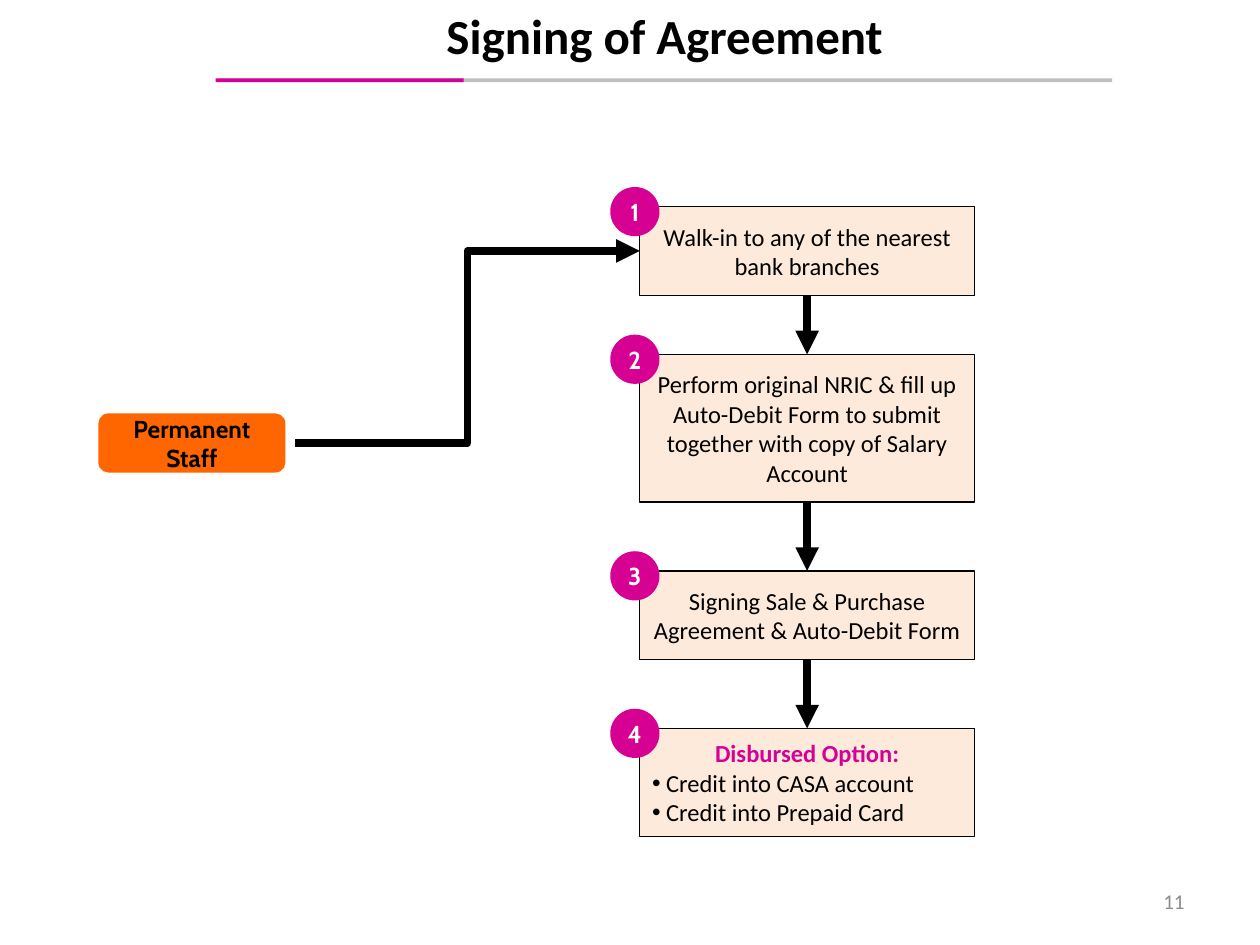
"""Build the agreement signing flow slide."""
from typing import NamedTuple

from lxml.etree import SubElement
from pptx import Presentation
from pptx.dml.color import RGBColor
from pptx.enum.shapes import MSO_CONNECTOR, MSO_SHAPE
from pptx.enum.text import MSO_ANCHOR, MSO_AUTO_SIZE, PP_ALIGN
from pptx.oxml.ns import qn
from pptx.util import Inches, Pt

UNIT = Inches(10) / 128
HUES = {"pink": "D60093", "gray": "BFBFBF", "peach": "FDEADA", "orange": "FF6600",
        "black": "000000", "white": "FFFFFF", "dim": "8C8C8C"}
BODY = {"name": "Calibri", "size": Pt(14), "bold": False}
LABEL = {"name": "Cabin", "size": Pt(14), "bold": True}
HEAD = {"name": "Calibri", "size": Pt(28), "bold": True}
FOOT = {"name": "Calibri", "size": Pt(12), "bold": False}
FRAME = {"word_wrap": True, "vertical_anchor": MSO_ANCHOR.MIDDLE}
TIGHT = {"margin_left": 0, "margin_right": 0, "margin_top": 0, "margin_bottom": 0}


class Area(NamedTuple):
    """Place in grid columns and rows."""
    col: float
    row: float
    wide: float
    high: float


class Line(NamedTuple):
    """One paragraph with its look."""
    text: str
    font: dict = BODY
    hue: str = "black"
    align: PP_ALIGN = PP_ALIGN.CENTER
    bullet: bool = False


class Step(NamedTuple):
    """One box of the flow."""
    row: int
    high: int
    lines: list


STEPS = [
    Step(21, 9, [Line("Walk-in to any of the nearest bank branches")]),
    Step(36, 15, [Line("Perform original NRIC & fill up Auto-Debit Form to submit "
                       "together with copy of Salary Account")]),
    Step(58, 9, [Line("Signing Sale & Purchase Agreement & Auto-Debit Form")]),
    Step(74, 11, [
        Line("Disbursed Option:", {**BODY, "bold": True}, "pink"),
        Line("Credit into CASA account", align=PP_ALIGN.LEFT, bullet=True),
        Line("Credit into Prepaid Card", align=PP_ALIGN.LEFT, bullet=True)]),
]
RULES = [(Area(22.3, 7.95, 90.7, 0.4), "gray"), (Area(21.9, 7.95, 25.2, 0.4), "pink")]
LEFT, WIDE = 65, 34


def grid(*spans: float) -> list:
    """Turn grid counts into lengths."""
    return [round(span * UNIT) for span in spans]


def color(hue: str) -> RGBColor:
    """Look up a colour by name."""
    return RGBColor.from_string(HUES[hue])


def apply(target, values: dict) -> None:
    """Set each format value on the target."""
    for key, value in values.items():
        setattr(target, key, value)


def write(shape, lines: list, frame: dict = FRAME) -> None:
    """Fill a shape with styled paragraphs."""
    body = shape.text_frame
    apply(body, frame)
    for index, line in enumerate(lines):
        para = body.add_paragraph() if index else body.paragraphs[0]
        para.text = line.text
        para.alignment = line.align
        if line.bullet:
            props = para._p.get_or_add_pPr()
            props.set("marL", str(Inches(0.11)))
            props.set("indent", str(-Inches(0.11)))
            SubElement(props, qn("a:buFont")).set("typeface", "Arial")
            SubElement(props, qn("a:buChar")).set("char", "•")
        apply(para.font, line.font)
        para.font.color.rgb = color(line.hue)


def block(slide, kind: MSO_SHAPE, area: Area, fill: str, edge: str = ""):
    """Draw a flat filled shape."""
    shape = slide.shapes.add_shape(kind, *grid(*area))
    shape.shadow.inherit = False
    shape.fill.solid()
    shape.fill.fore_color.rgb = color(fill)
    if edge:
        shape.line.color.rgb = color(edge)
        shape.line.width = Pt(0.75)
    else:
        shape.line.fill.background()
    return shape


def arrow(slide, kind: MSO_CONNECTOR, *ends: float):
    """Draw a thick arrow between two grid points."""
    link = slide.shapes.add_connector(kind, *grid(*ends))
    link.line.color.rgb = color("black")
    link.line.width = Pt(4.5)
    SubElement(link.line._get_or_add_ln(), qn("a:tailEnd")).set("type", "triangle")
    SubElement(link._element.spPr, qn("a:effectLst"))
    return link


def main() -> None:
    """Build and save the slide."""
    deck = Presentation()
    deck.slide_width, deck.slide_height = Inches(10), Inches(7.5)
    slide = deck.slides.add_slide(deck.slide_layouts[5])

    title = slide.shapes.title
    apply(title, dict(zip(("left", "top", "width", "height"), grid(22, -0.1, 91, 7.3))))
    write(title, [Line("Signing of Agreement", HEAD)],
          {**FRAME, "vertical_anchor": MSO_ANCHOR.TOP, "auto_size": MSO_AUTO_SIZE.NONE})
    for area, hue in RULES:
        block(slide, MSO_SHAPE.RECTANGLE, area, hue)

    boxes = []
    for step in STEPS:
        area = Area(LEFT, step.row, WIDE, step.high)
        box = block(slide, MSO_SHAPE.RECTANGLE, area, "peach", "black")
        write(box, step.lines)
        boxes.append(box)

    mid = LEFT + WIDE / 2
    for (above, below), (first, last) in zip(zip(boxes, boxes[1:]), zip(STEPS, STEPS[1:])):
        link = arrow(slide, MSO_CONNECTOR.STRAIGHT, mid, first.row + first.high, mid, last.row)
        link.begin_connect(above, 2)
        link.end_connect(below, 0)
    arrow(slide, MSO_CONNECTOR.ELBOW, 30, 45, LEFT, STEPS[0].row + STEPS[0].high / 2)

    for count, step in enumerate(STEPS, 1):
        badge = block(slide, MSO_SHAPE.OVAL, Area(LEFT - 3, step.row - 2, 5, 5), "pink")
        write(badge, [Line(str(count), LABEL, "white")], {**FRAME, **TIGHT})

    staff = block(slide, MSO_SHAPE.ROUNDED_RECTANGLE, Area(10, 42, 19, 6), "orange")
    write(staff, [Line("Permanent Staff", LABEL)])
    page = slide.shapes.add_textbox(*grid(91.75, 89, 29.85, 5.1))
    write(page, [Line("11", FOOT, "dim", PP_ALIGN.RIGHT)])
    deck.save("out.pptx")


if __name__ == "__main__":
    main()
